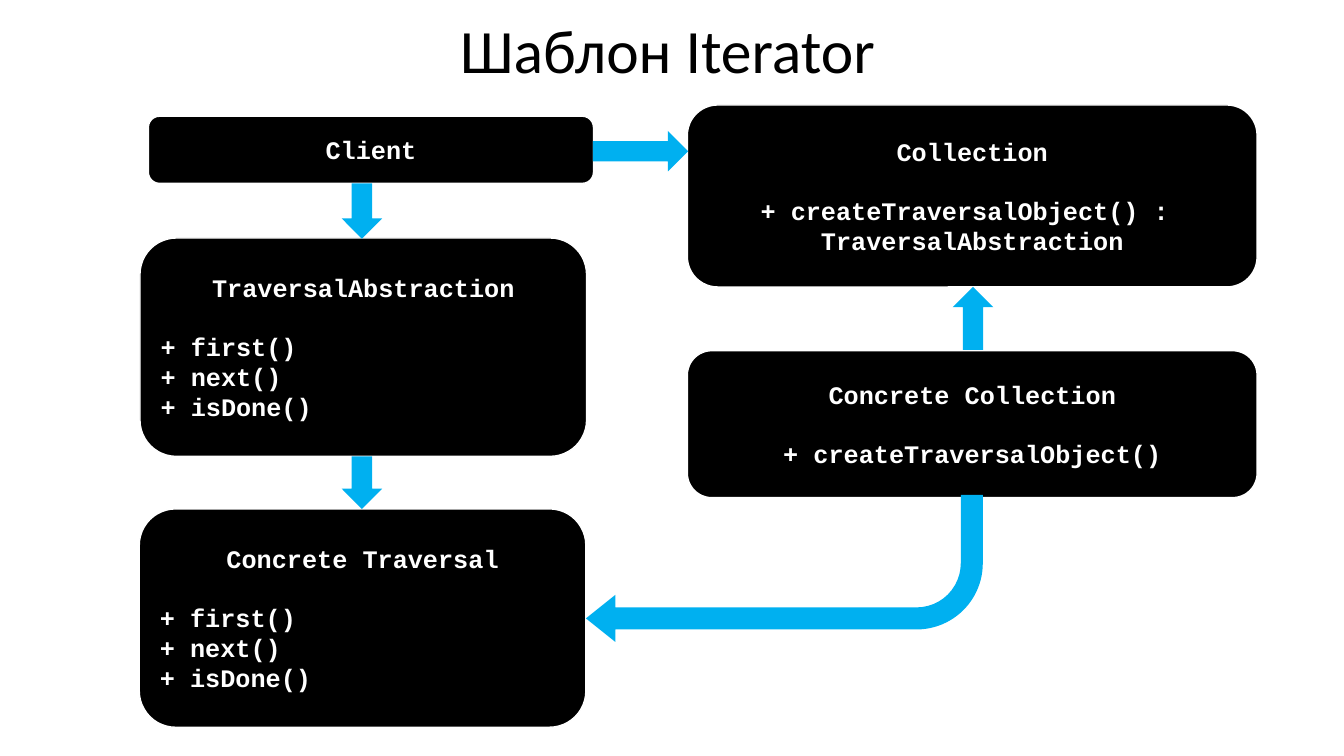
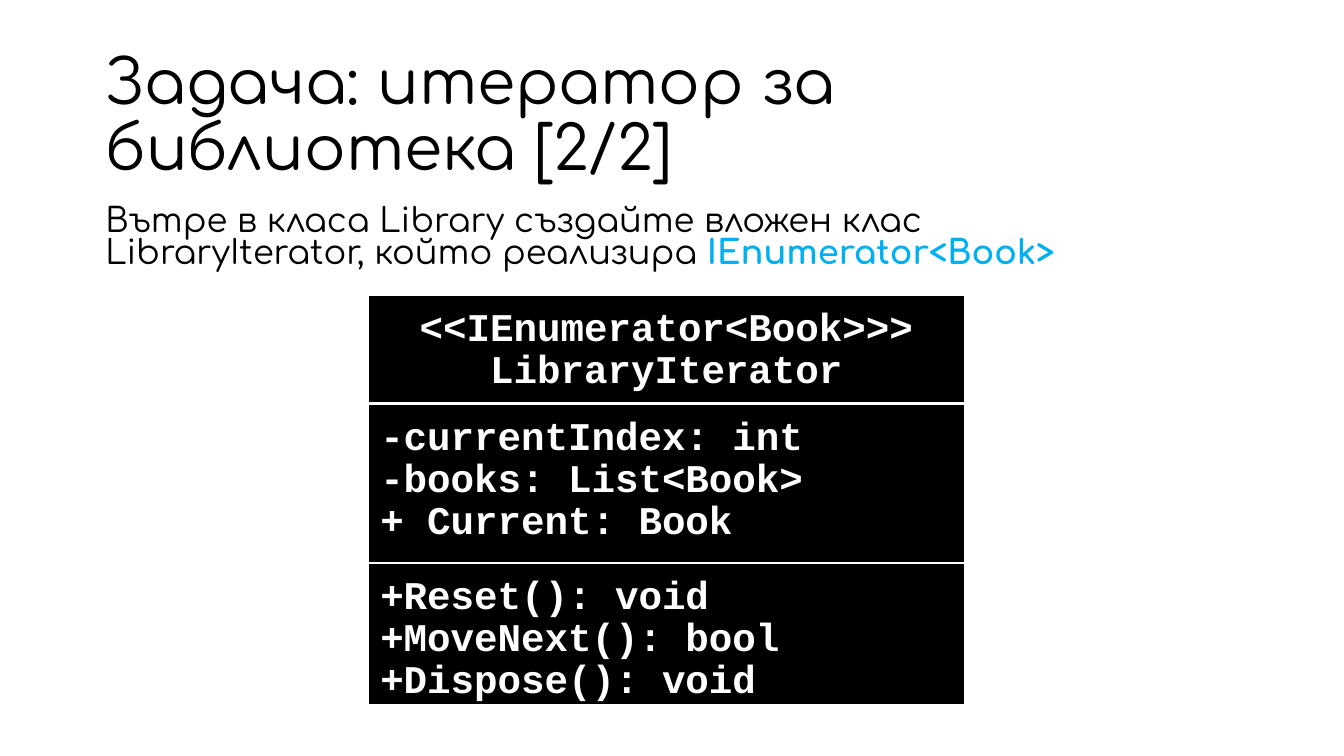
from pptx import Presentation
from pptx.dml.color import RGBColor
from pptx.enum.shapes import MSO_SHAPE
from pptx.enum.text import MSO_ANCHOR, MSO_AUTO_SIZE, PP_ALIGN
from pptx.oxml.ns import qn
from pptx.util import Pt

RECT, ROUND = MSO_SHAPE.RECTANGLE, MSO_SHAPE.ROUNDED_RECTANGLE
UP, DOWN = MSO_SHAPE.UP_ARROW, MSO_SHAPE.DOWN_ARROW
RIGHT, BENT = MSO_SHAPE.RIGHT_ARROW, MSO_SHAPE.BENT_ARROW
TOP, MID = MSO_ANCHOR.TOP, MSO_ANCHOR.MIDDLE
LEFT, CENTER = PP_ALIGN.LEFT, PP_ALIGN.CENTER
FIXED = MSO_AUTO_SIZE.NONE
BLACK, WHITE, BLUE = "000000", "FFFFFF", "00B0F0"
SANS, SOFT, MONO = "Calibri", "Comfortaa", "Courier New"

STEPS = ["+ first()", "+ next()", "+ isDone()"]
CARDS = [
    ((106, 83, 318, 48), "Client", [], CENTER),
    ((100, 170, 319, 156), "TraversalAbstraction", STEPS, LEFT),
    ((491, 75, 407, 130), "Collection",
     ["+ createTraversalObject() : ", "TraversalAbstraction"], CENTER),
    ((491, 250.5, 407, 105), "Concrete Collection",
     ["+ createTraversalObject()"], CENTER),
    ((99.5, 363.5, 319, 156), "Concrete Traversal", STEPS, LEFT),
]
ARROWS = [
    (DOWN, (244, 131, 29, 39.5)),
    (UP, (680.5, 205, 29, 45)),
    (RIGHT, (423.5, 93.5, 68, 29)),
    (DOWN, (244, 326, 29, 37.5)),
]
BEND = (418.5, 353.5, 283.5, 105)
BEND_ADJ = [0.15, 0.16, 0.2, 0.45]

TASK = [("Вътре в класа Library създайте вложен клас LibraryIterator, "
         "който реализира ", {}),
        ("IEnumerator<Book>", {"color": BLUE, "bold": True})]
PARTS = [
    (77, CENTER, ["<<IEnumerator<Book>>>", "LibraryIterator"]),
    (113, LEFT, ["-currentIndex: int", "-books: List<Book>",
                 "+ Current: Book"]),
    (101, LEFT, ["+Reset(): void", "+MoveNext(): bool", "+Dispose(): void"]),
]
PART_X, PART_Y, PART_W, PART_GAP = 263, 211, 426, 0.7


def rgb(code):
    return RGBColor.from_string(code)


def write(para, text, font=SANS, size=18, color=BLACK, bold=False,
          align=LEFT, space=1.0, before=0):
    para.alignment, para.line_spacing = align, space
    para.space_before, para.space_after = Pt(before), Pt(0)
    run = para.add_run()
    run.text = text
    run.font.name, run.font.size = font, Pt(size)
    run.font.bold, run.font.color.rgb = bold, rgb(color)


def place(shape, box):
    shape.left, shape.top, shape.width, shape.height = map(Pt, box)


def set_frame(frame, anchor, wrap=True):
    frame.auto_size = FIXED
    frame.vertical_anchor, frame.word_wrap = anchor, wrap
    return frame


def add_block(shapes, kind, box, fill, line=None):
    shape = shapes.add_shape(kind, *map(Pt, box))
    shape.shadow.inherit = False
    shape.fill.solid()
    shape.fill.fore_color.rgb = rgb(fill)
    if line:
        shape.line.color.rgb = rgb(line)
        shape.line.width = Pt(1)
    else:
        shape.line.fill.background()
    return shape


def next_para(frame, first):
    return frame.paragraphs[0] if first else frame.add_paragraph()


def add_slide(deck, layout, title, box, **style):
    slide = deck.slides.add_slide(deck.slide_layouts[layout])
    head = slide.shapes.title
    place(head, box)
    frame = set_frame(head.text_frame, MID)
    write(frame.paragraphs[0], title, size=44, **style)
    return slide


def add_card(shapes, box, name, rows, align):
    card = add_block(shapes, ROUND, box, BLACK, WHITE)
    frame = set_frame(card.text_frame, MID, False)
    style = {"font": MONO, "color": WHITE, "bold": True}
    write(frame.paragraphs[0], name, align=CENTER, **style)
    for i, row in enumerate(rows):
        write(frame.add_paragraph(), row, align=align,
              before=0 if i else 20.4, **style)


def add_part(shapes, box, align, rows):
    part = add_block(shapes, RECT, box, BLACK, WHITE)
    frame = set_frame(part.text_frame, TOP)
    frame.margin_left = frame.margin_right = Pt(8.64)
    frame.margin_top = frame.margin_bottom = Pt(8.64)
    for i, row in enumerate(rows):
        write(next_para(frame, i == 0), row, font=MONO, size=28,
              color=WHITE, bold=True, align=align, space=Pt(30))


def draw_scheme(deck):
    slide = add_slide(deck, 5, "Шаблон Iterator", (43, 6, 868, 64),
                      align=CENTER, space=0.9)
    for card in CARDS:
        add_card(slide.shapes, *card)
    for kind, box in ARROWS:
        add_block(slide.shapes, kind, box, BLUE)
    bend = add_block(slide.shapes, BENT, BEND, BLUE)
    bend.rotation = 180
    for i, value in enumerate(BEND_ADJ):
        bend.adjustments[i] = value


def draw_task(deck):
    slide = add_slide(deck, 1, "Задача: итератор за библиотека [2/2]",
                      (68, 32, 828, 104), font=SOFT, space=0.9)
    body = slide.placeholders[1]
    place(body, (68, 144, 787, 55))
    para = set_frame(body.text_frame, TOP).paragraphs[0]
    props = para._p.get_or_add_pPr()
    props.set("marL", "0")
    props.set("indent", "0")
    props.append(props.makeelement(qn("a:buNone"), {}))
    for text, style in TASK:
        write(para, text, font=SOFT, size=24, space=0.8, **style)
    group = slide.shapes.add_group_shape()
    top = PART_Y
    for high, align, rows in PARTS:
        add_part(group.shapes, (PART_X, top, PART_W, high), align, rows)
        top += high + PART_GAP


def main():
    deck = Presentation()
    deck.slide_width, deck.slide_height = Pt(960), Pt(540)
    draw_scheme(deck)
    draw_task(deck)
    deck.save("out.pptx")


if __name__ == "__main__":
    main()
